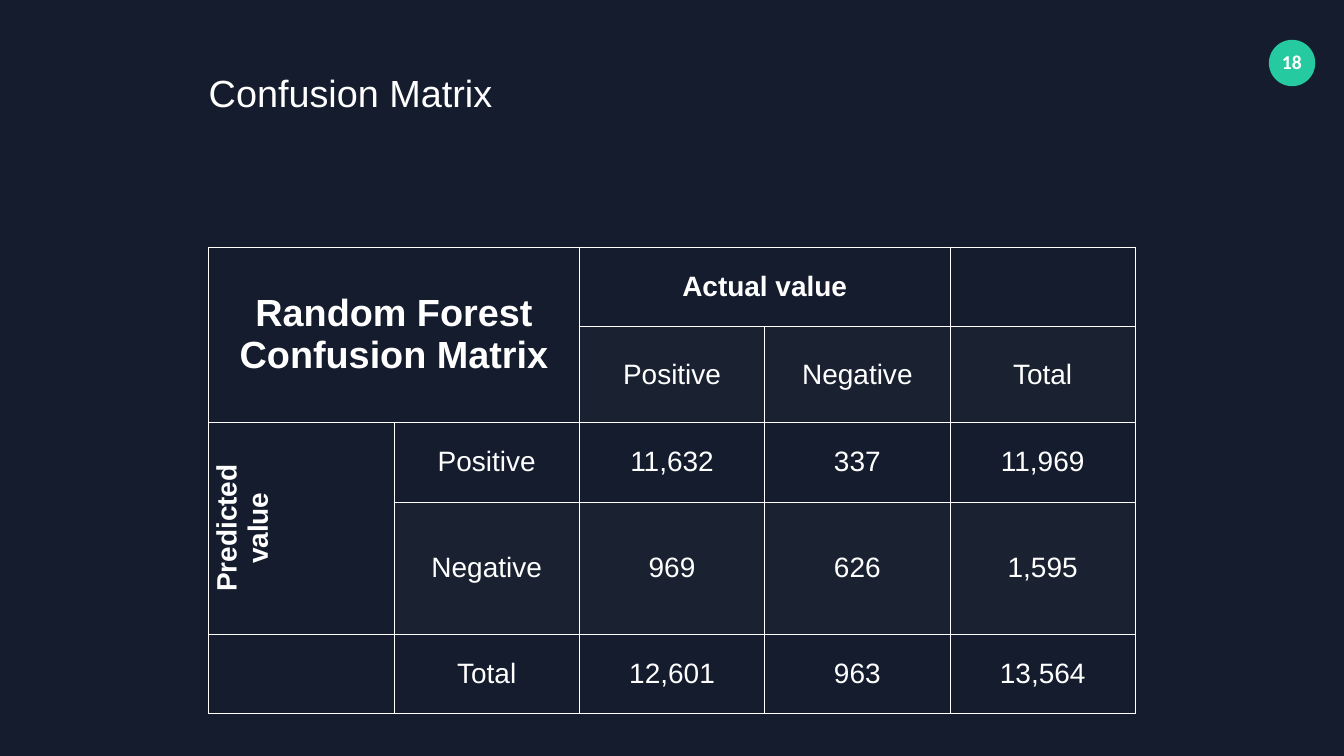
from dataclasses import dataclass

from lxml import etree
from pptx import Presentation
from pptx import util as u
from pptx.dml.color import RGBColor
from pptx.enum import shapes, text
from pptx.oxml import ns


@dataclass(frozen=True)
class Theme:
    back: str = "141C2D"
    ink: str = "FFFFFF"
    band: str = "333D47"
    badge: str = "25CAA0"
    font: str = "Arial"
    num_font: str = "Calibri"
    big: int = 54
    body: int = 40
    small: int = 28
    line: int = 1
    alpha: int = 20


THEME = Theme()
ROWS = [
    ["Random Forest Confusion Matrix", "", "Actual value", "", ""],
    ["", "", "Positive", "Negative", "Total"],
    ["Predicted value", "Positive", "11,632", "337", "11,969"],
    ["", "Negative", "969", "626", "1,595"],
    ["", "Total", "12,601", "963", "13,564"],
]
MERGES = [(0, 0, 1, 1), (0, 2, 0, 3), (2, 0, 3, 0)]
HEADS = {(0, 0): THEME.big, (0, 2): THEME.body, (2, 0): THEME.body}
BANDS = {(row, col) for row, first in ((1, 2), (3, 1)) for col in range(first, 5)}


def inches(box):
    return [u.Inches(side) for side in box]


def paint(fill, color):
    fill.solid()
    fill.fore_color.rgb = RGBColor.from_string(color)


def write(frame, words, size=THEME.body, font=THEME.font, bold=False,
          align=text.PP_ALIGN.CENTER):
    frame.word_wrap = True
    para = frame.paragraphs[0]
    para.alignment = align
    run = para.add_run()
    run.text = words
    run.font.size = u.Pt(size)
    run.font.name = font
    run.font.bold = bold
    run.font.color.rgb = RGBColor.from_string(THEME.ink)


def rule(cell):
    """Draw a thin line on all four sides of a cell."""
    props = cell._tc.get_or_add_tcPr()
    for spot, side in enumerate(("lnL", "lnR", "lnT", "lnB")):
        line = etree.Element(ns.qn(f"a:{side}"), w=str(u.Pt(THEME.line)))
        solid = etree.SubElement(line, ns.qn("a:solidFill"))
        etree.SubElement(solid, ns.qn("a:srgbClr"), val=THEME.ink)
        props.insert(spot, line)


def tint(cell):
    """Give a cell the see-through band colour."""
    paint(cell.fill, THEME.band)
    color = cell._tc.tcPr.find(".//" + ns.qn("a:srgbClr"))
    etree.SubElement(color, ns.qn("a:alpha"), val=str(THEME.alpha * 1000))


def add_title(slide, box, words):
    title = slide.shapes.title
    title.left, title.top, title.width, title.height = inches(box)
    frame = title.text_frame
    frame.margin_left = frame.margin_right = 0
    frame.margin_top = frame.margin_bottom = 0
    frame.vertical_anchor = text.MSO_ANCHOR.MIDDLE
    frame.auto_size = text.MSO_AUTO_SIZE.NONE
    write(frame, words, size=THEME.big, align=text.PP_ALIGN.LEFT)


def add_badge(slide, box, number):
    left, top, width, height = box
    disc = slide.shapes.add_shape(shapes.MSO_SHAPE.OVAL, *inches(box))
    disc.shadow.inherit = False
    paint(disc.fill, THEME.badge)
    disc.line.fill.background()
    label = slide.shapes.add_textbox(
        *inches((left + 0.02, top + 0.11, width - 0.05, height - 0.25)))
    frame = label.text_frame
    frame.margin_left = frame.margin_right = u.Inches(0.2)
    frame.margin_top = frame.margin_bottom = u.Inches(0.1)
    write(frame, number, size=THEME.small, font=THEME.num_font, bold=True)


def add_matrix(slide, box):
    count = len(ROWS)
    table = slide.shapes.add_table(count, len(ROWS[0]), *inches(box)).table
    table.first_row = table.horz_banding = False
    for top, left, bottom, right in MERGES:
        table.cell(top, left).merge(table.cell(bottom, right))
    for row, words in enumerate(ROWS):
        for col, word in enumerate(words):
            cell = table.cell(row, col)
            cell.vertical_anchor = text.MSO_ANCHOR.MIDDLE
            if (row, col) in BANDS:
                tint(cell)
            else:
                cell.fill.background()
            rule(cell)
            if word:
                size = HEADS.get((row, col), THEME.body)
                write(cell.text_frame, word, size=size, bold=(row, col) in HEADS)
    table.cell(2, 0)._tc.tcPr.set("vert", "vert270")


def main():
    deck = Presentation()
    deck.slide_width, deck.slide_height = inches((26.66, 15))
    slide = deck.slides.add_slide(deck.slide_layouts[5])
    paint(slide.background.fill, THEME.back)
    add_badge(slide, (25.17, 0.79, 0.92, 0.92), "18")
    add_matrix(slide, (4.14, 4.9, 18.38, 7.89))
    add_title(slide, (4.14, 1.32, 12.23, 1.04), "Confusion Matrix")
    deck.save("out.pptx")


if __name__ == "__main__":
    main()
